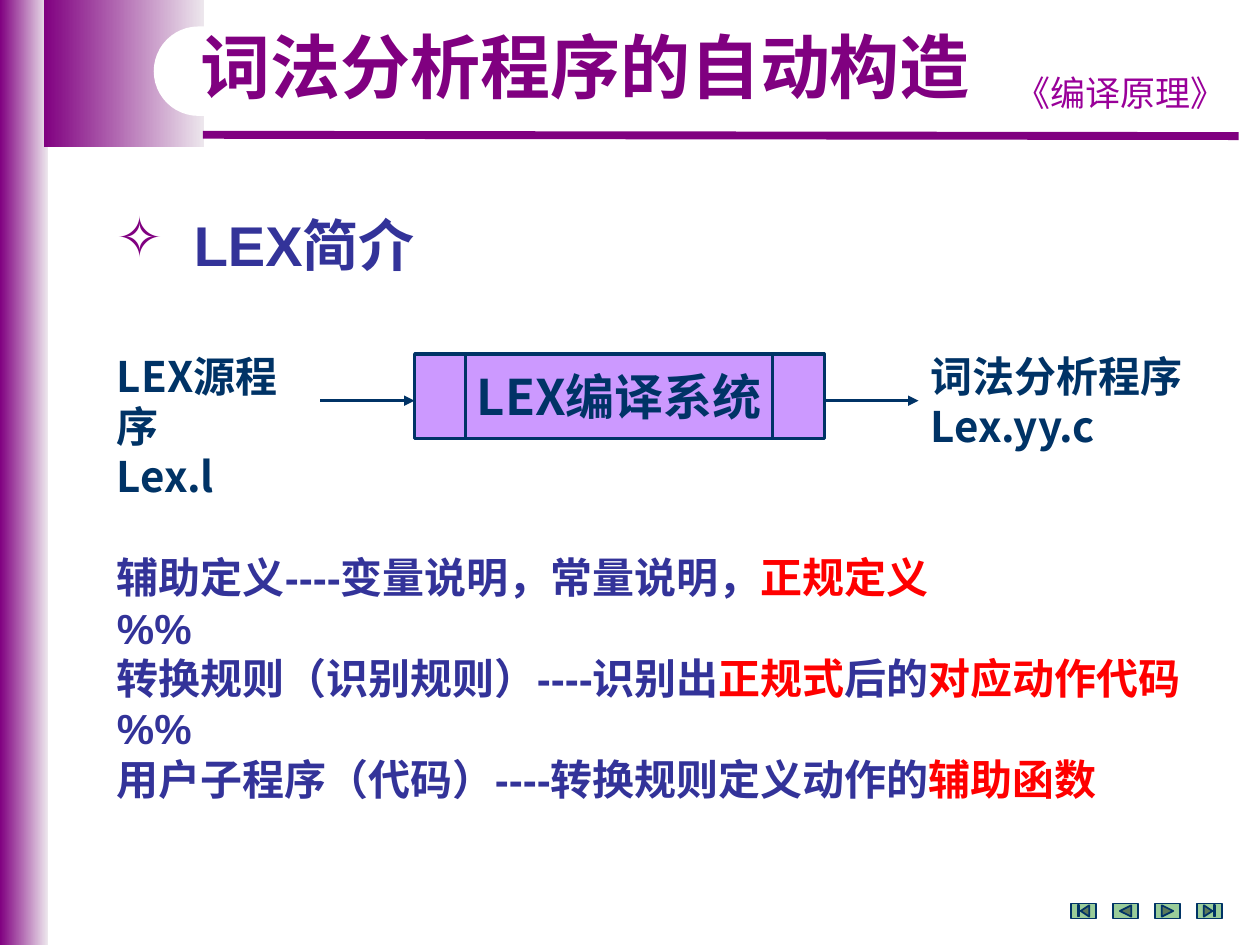
from pptx import Presentation
from pptx.dml.color import RGBColor
from pptx.enum.shapes import MSO_CONNECTOR, MSO_SHAPE
from pptx.enum.text import MSO_ANCHOR, PP_ALIGN
from pptx.oxml.ns import qn
from pptx.util import Inches, Pt
from lxml import etree

LINE = MSO_CONNECTOR.STRAIGHT
RECT, ROUND = MSO_SHAPE.RECTANGLE, MSO_SHAPE.ROUNDED_RECTANGLE
PROCESS = MSO_SHAPE.FLOWCHART_PREDEFINED_PROCESS
LEFT, CENTER = PP_ALIGN.LEFT, PP_ALIGN.CENTER
TOP, MIDDLE = MSO_ANCHOR.TOP, MSO_ANCHOR.MIDDLE
HAN, ARIAL, COMIC = "Noto Sans CJK SC", "Arial", "Comic Neue"
COLORS = {"purple": "800080", "pale": "EDE7ED", "course": "990099",
          "white": "FFFFFF", "navy": "003366", "blue": "333399",
          "red": "FF0000", "lilac": "CC99FF", "green": "99CC99"}

# Content: a paragraph is a list of (text, colour) runs
TITLE = [[("词法分析程序的自动构造", "purple")]]
COURSE = [[("《编译原理》", "course")]]
HEAD = [[("LEX简介", "blue")]]
SOURCE = [[("LEX源程序", "navy")], [("Lex.l", "navy")]]
SYSTEM = [[("LEX编译系统", "navy")]]
RESULT = [[("词法分析程序", "navy")], [("Lex.yy.c", "navy")]]
PARTS = [
    [("辅助定义----变量说明，常量说明，", "blue"), ("正规定义", "red")],
    [("%%", "blue")],
    [("转换规则（识别规则）----识别出", "blue"), ("正规式", "red"),
     ("后的", "blue"), ("对应动作代码", "red")],
    [("%%", "blue")],
    [("用户子程序（代码）----转换规则定义动作的", "blue"), ("辅助函数", "red")],
]
BANDS = [(0, 0, 0.38, 7.5), (0.35, 0, 1.27, 1.17)]
BUTTONS = [MSO_SHAPE.ACTION_BUTTON_BEGINNING,
           MSO_SHAPE.ACTION_BUTTON_BACK_OR_PREVIOUS,
           MSO_SHAPE.ACTION_BUTTON_FORWARD_OR_NEXT,
           MSO_SHAPE.ACTION_BUTTON_END]

prs = Presentation()
prs.slide_width, prs.slide_height = Inches(10), Inches(7.5)
slide = prs.slides.add_slide(prs.slide_layouts[5])
shapes = slide.shapes


def rgb(name):
    return RGBColor.from_string(COLORS[name])


def write(shape, paras, size, font, bold=True, align=LEFT, anchor=TOP,
          wrap=True, space=None):
    frame = shape.text_frame
    frame.word_wrap, frame.vertical_anchor = wrap, anchor
    for i, runs in enumerate(paras):
        para = frame.add_paragraph() if i else frame.paragraphs[0]
        para.alignment = align
        if space:
            para.line_spacing = space
        for text, color in runs:
            run = para.add_run()
            run.text = text
            run.font.size, run.font.bold = Pt(size), bold
            run.font.name = font
            run.font.color.rgb = rgb(color)
            east = etree.SubElement(run.font._element, qn("a:ea"))
            east.set("typeface", HAN)


def label(box, paras, size, font, **style):
    shape = shapes.add_textbox(*map(Inches, box))
    write(shape, paras, size, font, **style)
    return shape


def block(kind, box, fill, edge=None, width=1):
    shape = shapes.add_shape(kind, *map(Inches, box))
    shape.shadow.inherit = False
    shape.fill.solid()
    shape.fill.fore_color.rgb = rgb(fill)
    if edge:
        shape.line.color.rgb = rgb(edge)
        shape.line.width = Pt(width)
    else:
        shape.line.fill.background()
    return shape


def rule(x1, y1, x2, y2, color, width, arrow=False):
    line = shapes.add_connector(LINE, *map(Inches, (x1, y1, x2, y2)))
    line.line.color.rgb = rgb(color)
    line.line.width = Pt(width)
    if arrow:
        tail = etree.SubElement(line.line._get_or_add_ln(), qn("a:tailEnd"))
        tail.set("type", "triangle")
    etree.SubElement(line._element.spPr, qn("a:effectLst"))


# Frame of the slide
for box in BANDS:
    band = block(RECT, box, "purple")
    band.fill.gradient()
    band.fill.gradient_angle = 0
    for stop, color, place in zip(band.fill.gradient_stops,
                                  ("purple", "pale"), (0, 1)):
        stop.color.rgb = rgb(color)
        stop.position = place
rule(1.61, 1.07, 9.83, 1.08, "purple", 4.5)
label((7.91, 0.52, 1.97, 0.43), COURSE, 20, COMIC, bold=False,
      align=CENTER, anchor=MIDDLE)
block(ROUND, (1.22, 0.21, 3.62, 0.71), "white").adjustments[0] = 0.5

# Navigation buttons
for i, kind in enumerate(BUTTONS):
    block(kind, (8.5 + i / 3, 7.17, 0.2, 0.12), "green", "navy")

# Title, in front of the frame
title = shapes.title
title.left, title.top, title.width, title.height = map(
    Inches, (1.38, 0.21, 6.53, 0.7))
write(title, TITLE, 40, HAN, align=CENTER, anchor=MIDDLE, space=0.9)
shapes._spTree.append(title._element)

# Heading with its bullet
head = label((0.83, 1.62, 8.98, 0.64), HEAD, 32, ARIAL, anchor=MIDDLE)
props = head.text_frame.paragraphs[0]._p.get_or_add_pPr()
props.set("marL", str(Inches(0.61)))
props.set("indent", str(-Inches(0.61)))
tint = etree.SubElement(props, qn("a:buClr"))
etree.SubElement(tint, qn("a:srgbClr")).set("val", COLORS["purple"])
etree.SubElement(props, qn("a:buChar")).set("char", "✧")

# Flow: source, system, result
system = block(PROCESS, (3.29, 2.81, 3.25, 0.67), "lilac", "navy", 1.75)
write(system, SYSTEM, 28, HAN, align=CENTER, anchor=MIDDLE, wrap=False)
for x in (2.54, 6.54):
    rule(x, 3.18, x + 0.75, 3.18, "navy", 1.75, arrow=True)
for x, width, paras in ((0.83, 1.73, SOURCE), (7.29, 2.23, RESULT)):
    label((x, 2.73, width, 0.91), paras, 24, HAN, space=Pt(28.8))

# Parts of a LEX program
label((0.83, 4.33, 8.98, 2.12), PARTS, 24, ARIAL, space=Pt(28.8))

prs.save("out.pptx")
